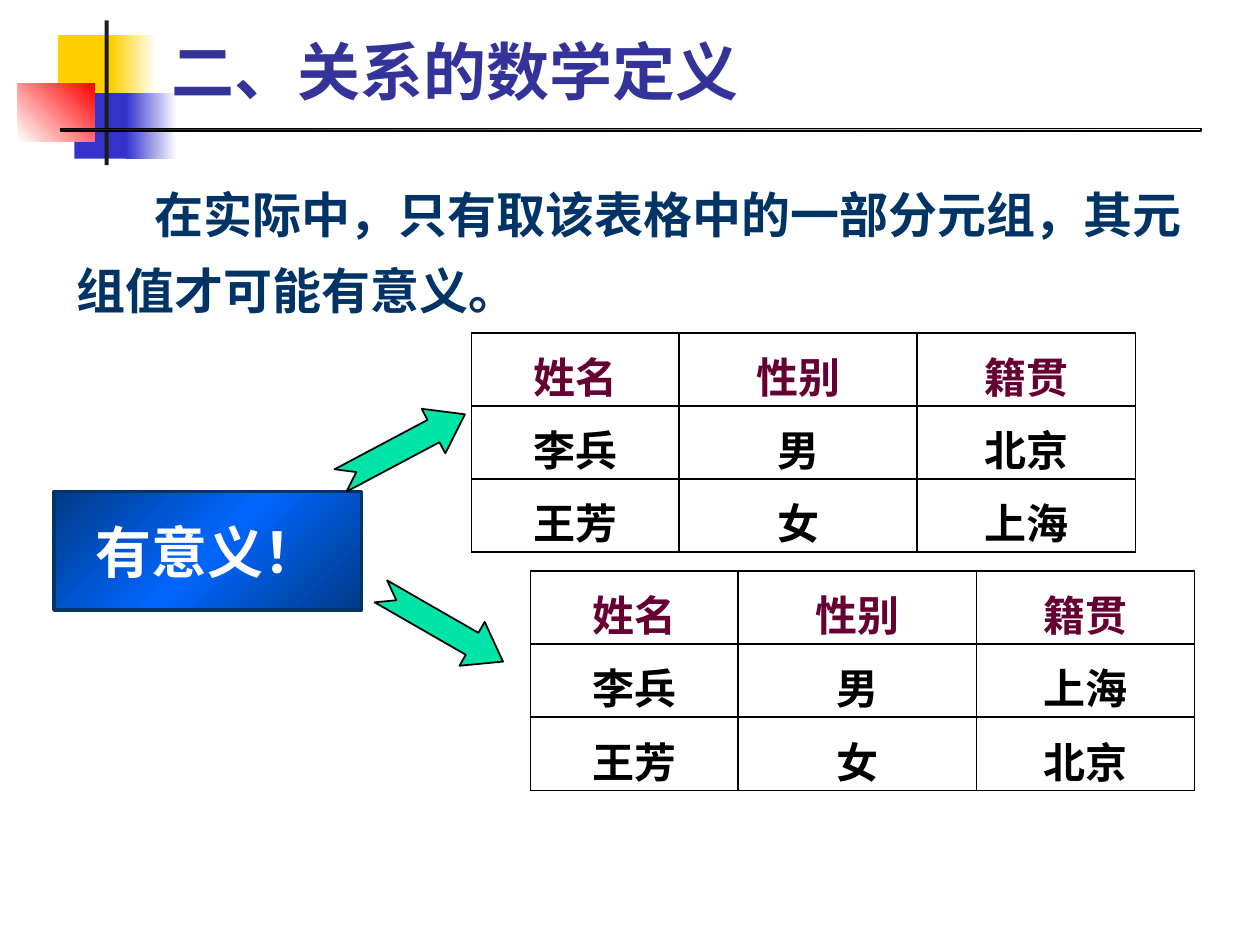
from copy import deepcopy
from dataclasses import dataclass

from lxml import etree
from pptx import Presentation
from pptx.dml.color import RGBColor as RGB
from pptx.enum.shapes import MSO_SHAPE as SHAPE
from pptx.enum.text import MSO_ANCHOR as ANCHOR, MSO_AUTO_SIZE as AUTO, PP_ALIGN as ALIGN
from pptx.oxml.ns import qn
from pptx.util import Cm, Pt


@dataclass(frozen=True)
class Theme:
    font: str = "Roboto"
    box_font: str = "Arial"
    title: str = "333399"
    body: str = "003366"
    header: str = "660033"
    black: str = "000000"
    white: str = "FFFFFF"
    yellow: str = "FFCF01"
    blue: str = "3333CC"
    red: str = "FF0000"
    ink: str = "1C1C1C"
    arrow: str = "00E4A8"
    box_edge: str = "003A86"
    box_mid: str = "0066FF"
    title_size: int = 36
    box_size: int = 32
    body_size: int = 28
    cell_size: int = 24


T = Theme()


def place(box):
    return [Cm(v) for v in box]


def write(tf, text, size, color, name=T.font, align=ALIGN.LEFT, spacing=1.0):
    p = tf.paragraphs[0]
    p.alignment, p.line_spacing = align, spacing
    r = p.add_run()
    r.text = text
    r.font.color.rgb = RGB.from_string(color)
    for key, value in {"name": name, "size": Pt(size), "bold": True}.items():
        setattr(r.font, key, value)
    return p


def set_gradient(shape, colors, angle):
    shape.fill.gradient()
    shape.fill.gradient_angle = -angle % 360
    stops = shape._element.spPr.find(qn("a:gradFill")).find(qn("a:gsLst"))
    while len(stops) < len(colors):
        stops.append(deepcopy(stops[0]))
    for i, (stop, color) in enumerate(zip(shape.fill.gradient_stops, colors)):
        stop.color.rgb = RGB.from_string(color)
        stop.position = i / (len(colors) - 1)


def add_shape(s, kind, box, colors, angle=0, line=None, width=1):
    sp = s.shapes.add_shape(kind, *place(box))
    sp.shadow.inherit = False
    if len(colors) == 1:
        sp.fill.solid()
        sp.fill.fore_color.rgb = RGB.from_string(colors[0])
    else:
        set_gradient(sp, colors, angle)
    if line:
        sp.line.color.rgb = RGB.from_string(line)
        sp.line.width = Pt(width)
    else:
        sp.line.fill.background()
    return sp


def add_ornament(s, box):
    left, top, width, height = box
    side = 1.32
    parts = [
        ((0.81, 0.3, 1.22, side), [T.yellow], 0, None),
        ((1.88, 0.3, 0.91, side), [T.yellow, T.white], 0, None),
        ((1.14, 1.47, 1.17, side), [T.blue], 0, None),
        ((2.18, 1.47, 1.02, side), [T.blue, T.white], 0, None),
        ((0, 1.27, 1.55, 1.17), [T.white, T.red], 315, None),
        ((1.75, 0, 0.08, height), [T.ink], 0, None),
        ((0.86, 2.18, width - 0.86, 0.05), [T.ink, T.white], 0, T.black),
    ]
    for (x, y, w, h), colors, angle, line in parts:
        add_shape(s, SHAPE.RECTANGLE, (left + x, top + y, w, h), colors, angle, line, 0.75)


def add_title(s, box, text):
    title = s.shapes.title
    title.left, title.top, title.width, title.height = place(box)
    s.shapes._spTree.append(title._element)
    tf = title.text_frame
    tf.auto_size, tf.vertical_anchor = AUTO.NONE, ANCHOR.BOTTOM
    write(tf, text, T.title_size, T.title)


def add_body(s, box, text):
    tf = s.shapes.add_textbox(*place(box)).text_frame
    tf.word_wrap = True
    p = write(tf, text, T.body_size, T.body, spacing=1.3)
    p._p.get_or_add_pPr().set("indent", str(Cm(1.56)))


def add_callout(s, box, text):
    left, top, width, height = box
    sp = add_shape(s, SHAPE.RECTANGLE, box, [T.box_edge, T.box_mid, T.box_edge], 45, T.body, 2)
    tf = sp.text_frame
    tf.word_wrap, tf.vertical_anchor = False, ANCHOR.MIDDLE
    write(tf, text, T.box_size, T.white, T.box_font, ALIGN.CENTER)
    for x, y, angle in [(5.61, -1.4, 332), (6.4, 2.21, 29.9)]:
        arrow = add_shape(s, SHAPE.NOTCHED_RIGHT_ARROW, (left + x, top + y, 2.84, 1.02),
                          [T.arrow], line=T.black)
        arrow.adjustments[0], arrow.adjustments[1] = 0.5, 0.704
        arrow.rotation = angle


def set_borders(cell):
    tc_pr = cell._tc.get_or_add_tcPr()
    for side in "LRTB":
        ln = etree.SubElement(tc_pr, qn(f"a:ln{side}"), w=str(Pt(1)))
        fill = etree.SubElement(ln, qn("a:solidFill"))
        etree.SubElement(fill, qn("a:srgbClr"), val=T.black)


def add_relation(s, box, rows):
    table = s.shapes.add_table(len(rows), len(rows[0]), *place(box)).table
    table.first_row = table.horz_banding = False
    for column, width in zip(table.columns, (4.19, 4.8, 4.4)):
        column.width = Cm(width)
    for i, values in enumerate(rows):
        table.rows[i].height = Cm(box[3] / len(rows))
        for j, value in enumerate(values):
            cell = table.cell(i, j)
            set_borders(cell)
            cell.fill.background()
            cell.margin_top = cell.margin_bottom = 0
            write(cell.text_frame, value, T.cell_size, T.black if i else T.header,
                  align=ALIGN.CENTER, spacing=1.2)


def main():
    prs = Presentation()
    prs.slide_width, prs.slide_height = Cm(25.4), Cm(19.05)
    s = prs.slides.add_slide(prs.slide_layouts[5])
    add_ornament(s, (0.36, 0.41, 23.85, 2.92))
    add_title(s, (3.2, 0.58, 21.64, 1.73), "二、关系的数学定义")
    header = ("姓名", "性别", "籍贯")
    add_relation(s, (9.5, 6.71, 13.39, 4.41),
                 [header, ("李兵", "男", "北京"), ("王芳", "女", "上海")])
    add_relation(s, (10.69, 11.51, 13.39, 4.41),
                 [header, ("李兵", "男", "上海"), ("王芳", "女", "北京")])
    add_callout(s, (1.09, 9.91, 6.2, 2.39), "有意义！")
    add_body(s, (1.3, 3.23, 23.01, 3.51),
             "在实际中，只有取该表格中的一部分元组，其元组值才可能有意义。")
    prs.save("out.pptx")


if __name__ == "__main__":
    main()
